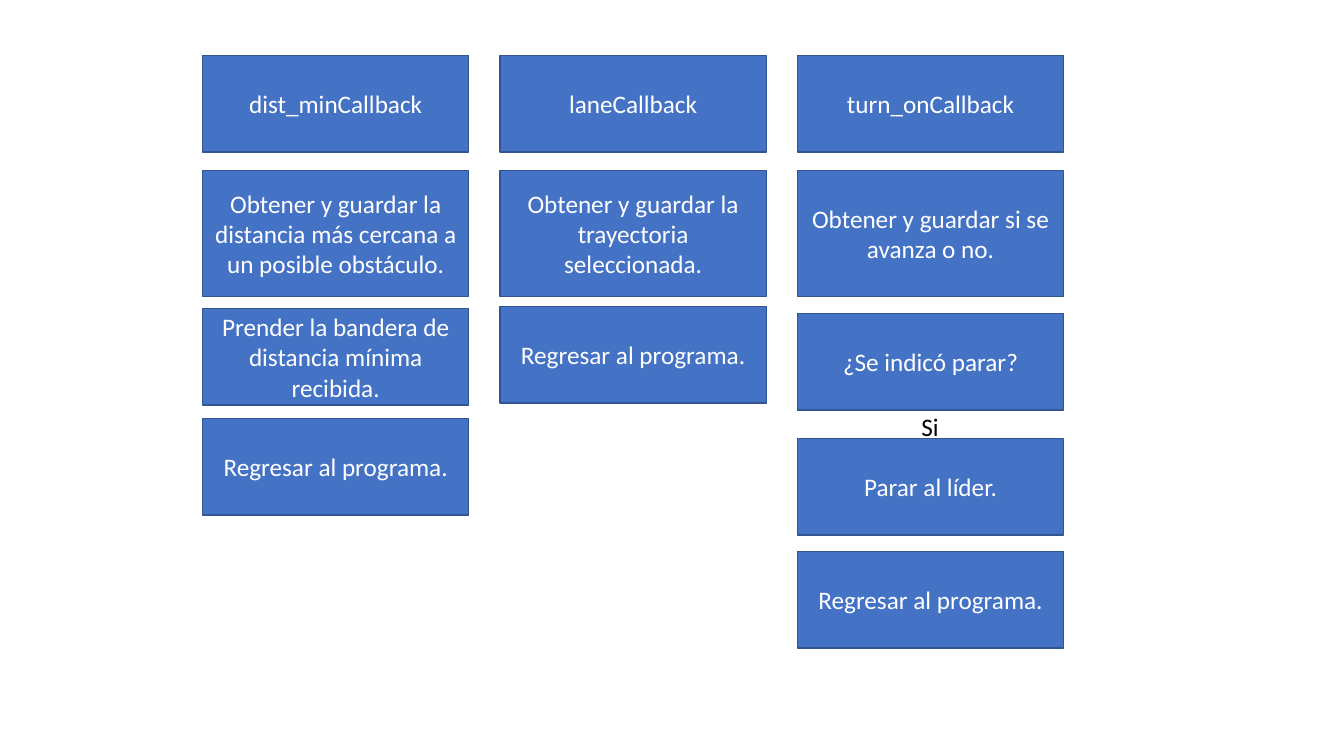
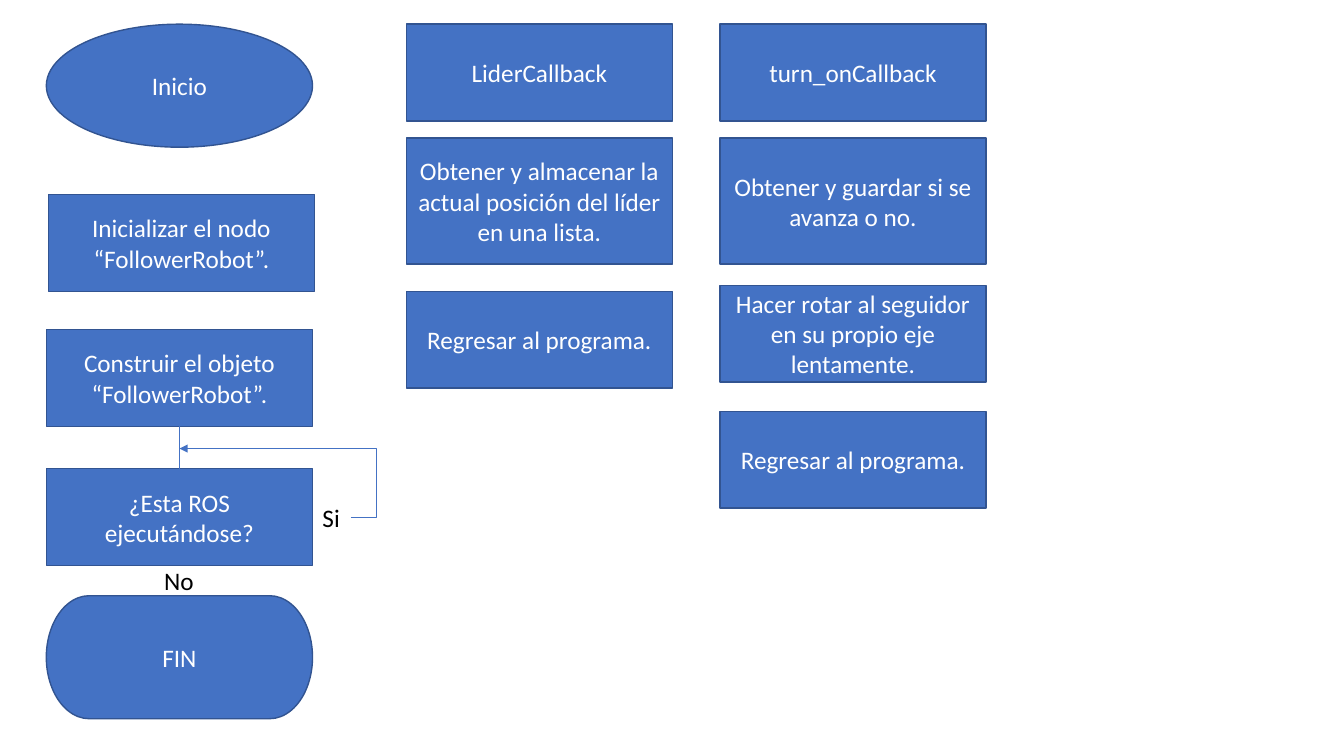
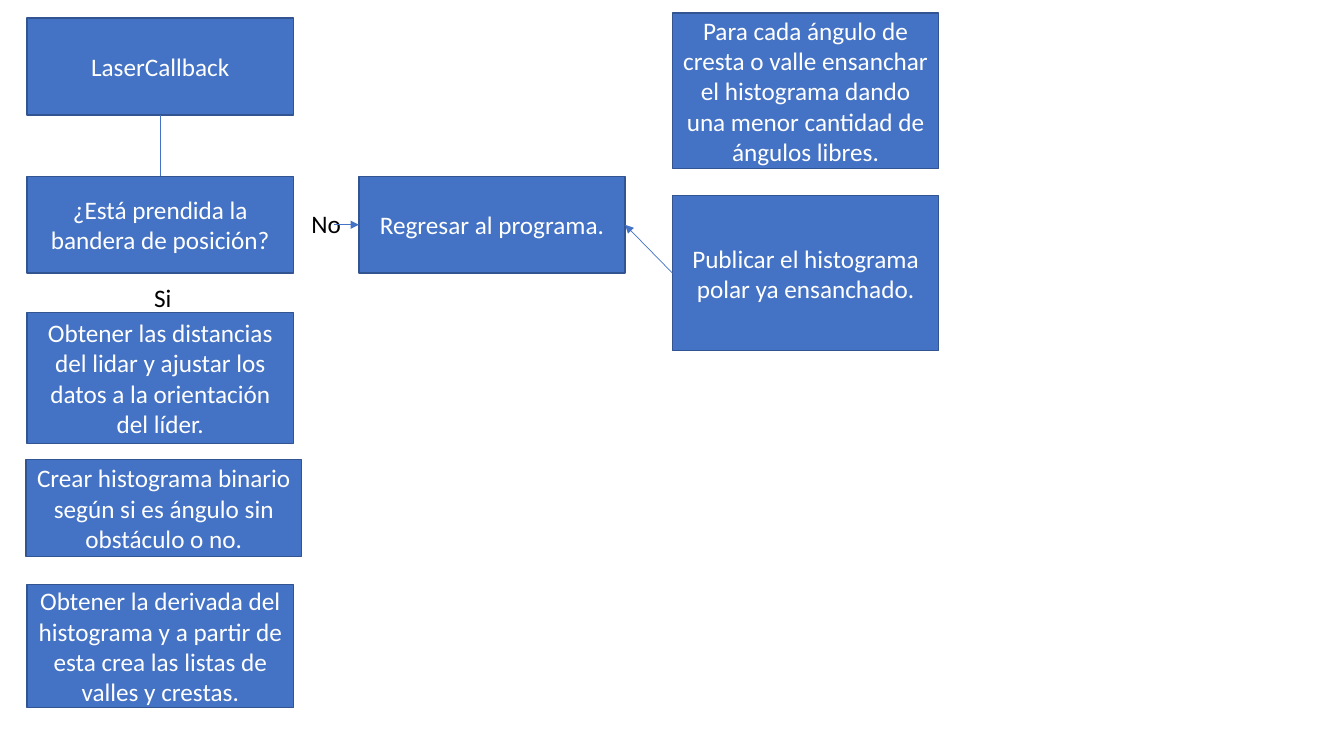
from dataclasses import dataclass

from lxml import etree
from pptx import Presentation
from pptx.dml.color import RGBColor
from pptx.enum.shapes import MSO_CONNECTOR as LINK, MSO_SHAPE as SHAPE
from pptx.enum.text import MSO_ANCHOR, MSO_AUTO_SIZE, PP_ALIGN
from pptx.oxml.ns import qn
from pptx.util import Inches, Pt


@dataclass(frozen=True)
class Theme:
    fill: RGBColor = RGBColor(0x44, 0x72, 0xC4)
    border: RGBColor = RGBColor(0x32, 0x54, 0x91)
    on_fill: RGBColor = RGBColor(0xFF, 0xFF, 0xFF)
    text: RGBColor = RGBColor(0, 0, 0)
    font: str = "Calibri"
    size: Pt = Pt(18)
    border_width: Pt = Pt(1)
    link_width: Pt = Pt(0.5)


THEME = Theme()
STEP_W, STEP_H = 2.64, 0.96  # usual step
TALL_H = 1.25                # step with a longer description
END_H = 1.22                 # start and end symbols
BOTTOM, TOP, LEFT, RIGHT = 2, 0, 1, 3  # connection sites of a rectangle
RETURN = "Regresar al programa."
ADVANCE = "Obtener y guardar si se avanza o no."


def write(frame, text, color, align):
    frame.text = text
    for paragraph in frame.paragraphs:
        paragraph.alignment = align
        paragraph.font.name = THEME.font
        paragraph.font.size = THEME.size
        paragraph.font.color.rgb = color


def step(slide, left, top, text, height=STEP_H, width=STEP_W, outline=SHAPE.RECTANGLE):
    """Filled flowchart symbol with centred text."""
    symbol = slide.shapes.add_shape(
        outline, Inches(left), Inches(top), Inches(width), Inches(height))
    symbol.shadow.inherit = False
    symbol.fill.solid()
    symbol.fill.fore_color.rgb = THEME.fill
    symbol.line.color.rgb = THEME.border
    symbol.line.width = THEME.border_width
    symbol.text_frame.word_wrap = True
    symbol.text_frame.vertical_anchor = MSO_ANCHOR.MIDDLE
    write(symbol.text_frame, text, THEME.on_fill, PP_ALIGN.CENTER)
    return symbol


def column(slide, left, steps):
    """Steps one below another, each given as (top, text[, height])."""
    return [step(slide, left, *details) for details in steps]


def answer(slide, left, top, text, width, wrap=False):
    """Yes or no beside a decision."""
    label = slide.shapes.add_textbox(
        Inches(left), Inches(top), Inches(width), Inches(0.4))
    label.text_frame.word_wrap = wrap
    label.text_frame.auto_size = MSO_AUTO_SIZE.SHAPE_TO_FIT_TEXT
    write(label.text_frame, text, THEME.text, PP_ALIGN.LEFT)


def link(slide, start, end, arrow=False, kind=LINK.STRAIGHT):
    line = slide.shapes.add_connector(kind, *(Inches(v) for v in (*start, *end)))
    line.line.color.rgb = THEME.fill
    line.line.width = THEME.link_width
    if arrow:
        etree.SubElement(line.line._get_or_add_ln(), qn("a:tailEnd"), type="triangle")
    etree.SubElement(line._element.spPr, qn("a:effectLst"))
    return line


def join(slide, source, source_site, target, target_site, arrow=False):
    """Straight link attached to two steps."""
    line = link(slide, (0, 0), (1, 1), arrow)
    line.begin_connect(source, source_site)
    line.end_connect(target, target_site)


def loop_back(slide, start, end, bend):
    """Elbow arrow; bend is the turning point as a share of the width."""
    line = link(slide, start, end, arrow=True, kind=LINK.ELBOW)
    geometry = line._element.spPr.find(qn("a:prstGeom"))
    guides = geometry.find(qn("a:avLst"))
    if guides is None:
        guides = etree.SubElement(geometry, qn("a:avLst"))
    etree.SubElement(guides, qn("a:gd"), name="adj1", fmla=f"val {round(bend * 100000)}")


def leader_callbacks(slide):
    name_top, task_top = 0.55, 1.69
    column(slide, 2.01, [
        (name_top, "dist_minCallback"),
        (task_top, "Obtener y guardar la distancia más cercana a un posible obstáculo.", TALL_H),
        (3.06, "Prender la bandera de distancia mínima recibida."),
        (4.15, RETURN),
    ])
    column(slide, 4.96, [
        (name_top, "laneCallback"),
        (task_top, "Obtener y guardar la trayectoria seleccionada.", TALL_H),
        (3.04, RETURN),
    ])
    column(slide, 7.91, [
        (name_top, "turn_onCallback"),
        (task_top, ADVANCE, TALL_H),
        (3.11, "¿Se indicó parar?"),
        (4.35, "Parar al líder."),
        (5.47, RETURN),
    ])
    answer(slide, 9.04, 4.03, "Si", 0.38)


def follower_program(slide):
    # Main program
    main_left = 0.46
    step(slide, main_left, 0.24, "Inicio", END_H, outline=SHAPE.OVAL)
    step(slide, 0.48, 1.93, "Inicializar el nodo\n“FollowerRobot”.")
    build, running = column(slide, main_left, [
        (3.27, "Construir el objeto “FollowerRobot”."),
        (4.65, "¿Esta ROS ejecutándose?"),
    ])
    step(slide, main_left, 5.91, "FIN", END_H, outline=SHAPE.FLOWCHART_TERMINATOR)
    answer(slide, 1.53, 5.56, "No", 0.73, wrap=True)
    answer(slide, 3.1, 4.93, "Si", 0.38)
    loop_back(slide, (3.48, 5.13), (1.78, 4.45), -0.15)
    join(slide, build, BOTTOM, running, TOP)

    # Callbacks
    name_top, task_top = 0.24, 1.37
    column(slide, 4.03, [
        (name_top, "LiderCallback"),
        (task_top, "Obtener y almacenar la actual posición del líder en una lista.", TALL_H),
        (2.89, RETURN),
    ])
    column(slide, 7.14, [
        (name_top, "turn_onCallback"),
        (task_top, ADVANCE, TALL_H),
        (2.83, "Hacer rotar al seguidor en su propio eje lentamente."),
        (4.08, RETURN),
    ])


def laser_callback(slide):
    # Decision and data preparation
    laser, flag, *_ = column(slide, 0.27, [
        (0.18, "LaserCallback"),
        (1.75, "¿Está prendida la bandera de posición?"),
        (3.1, "Obtener las distancias del lidar y ajustar los datos a la "
              "orientación del líder.", 1.3),
        (5.8, "Obtener la derivada del histograma y a partir de esta crea "
              "las listas de valles y crestas.", END_H),
    ])
    step(slide, 0.26, 4.56,
         "Crear histograma binario según si es ángulo sin obstáculo o no.", width=2.73)
    answer(slide, 1.43, 2.75, "Si", 0.73, wrap=True)
    answer(slide, 2.99, 2.02, "No", 0.5)
    join(slide, laser, BOTTOM, flag, TOP)

    # Histogram output and return
    back = step(slide, 3.56, 1.75, RETURN)
    _, publish = column(slide, 6.67, [
        (0.13, "Para cada ángulo de cresta o valle ensanchar el histograma "
               "dando una menor cantidad de ángulos libres.", 1.54),
        (1.94, "Publicar el histograma polar ya ensanchado.", 1.54),
    ])
    link(slide, (3.31, 2.23), (3.56, 2.23), arrow=True)
    join(slide, publish, LEFT, back, RIGHT, arrow=True)


def main():
    deck = Presentation()
    deck.slide_width, deck.slide_height = Inches(13.33), Inches(7.5)
    blank = deck.slide_layouts[6]
    for draw in (leader_callbacks, follower_program, laser_callback):
        draw(deck.slides.add_slide(blank))
    deck.save("out.pptx")


if __name__ == "__main__":
    main()
